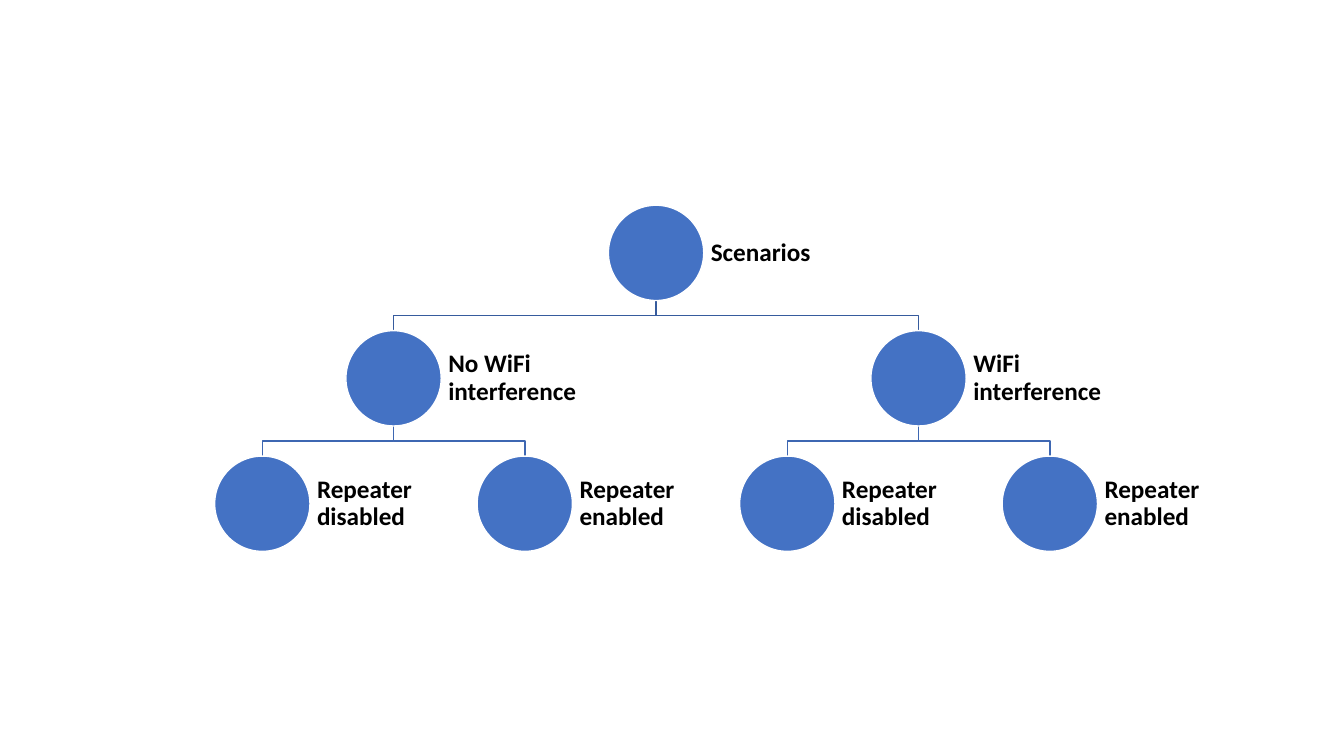
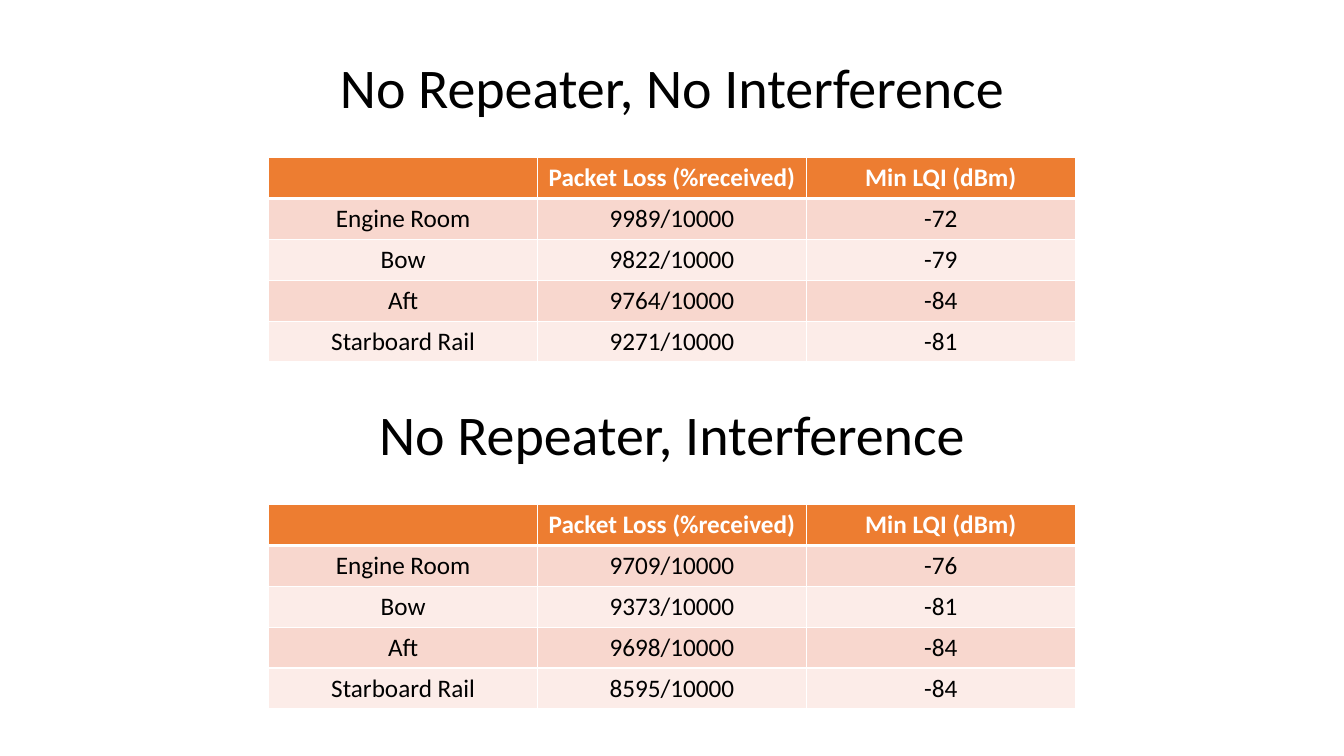
from lxml.etree import SubElement
from pptx import Presentation
from pptx.dml.color import RGBColor
from pptx.enum.shapes import MSO_SHAPE
from pptx.enum.text import MSO_ANCHOR, MSO_AUTO_SIZE, PP_ALIGN
from pptx.oxml.ns import qn
from pptx.util import Pt

FONT = "Calibri"
BLACK, WHITE = "000000", "FFFFFF"
BLUE, ORANGE = "4472C4", "ED7D31"
LINE_COLORS = {1: "365B9D", 2: "3E67B2"}
BANDS = ["F8D7CE", "FCECE8"]

# name: (label, level, leaf column, parent)
SCENARIOS = {
    "root": ("Scenarios", 0, 1.5, None),
    "quiet": ("No WiFi interference", 1, 0.5, "root"),
    "noisy": ("WiFi interference", 1, 2.5, "root"),
    "quiet_off": ("Repeater disabled", 2, 0, "quiet"),
    "quiet_on": ("Repeater enabled", 2, 1, "quiet"),
    "noisy_off": ("Repeater disabled", 2, 2, "noisy"),
    "noisy_on": ("Repeater enabled", 2, 3, "noisy"),
}
HEADER = ["", "Packet Loss (%received)", "Min LQI (dBm)"]
RESULTS = [
    ("No Repeater, No Interference", [
        ["Engine Room", "9989/10000", "-72"],
        ["Bow", "9822/10000", "-79"],
        ["Aft", "9764/10000", "-84"],
        ["Starboard Rail", "9271/10000", "-81"],
    ]),
    ("No Repeater, Interference", [
        ["Engine Room", "9709/10000", "-76"],
        ["Bow", "9373/10000", "-81"],
        ["Aft", "9698/10000", "-84"],
        ["Starboard Rail", "8595/10000", "-84"],
    ]),
]

CIRCLE, LABEL_W = 68.1, 102.2
TREE_X, TREE_Y = 187.4, 146.6
COLUMN_GAP, LEVEL_GAP = 187.5, 89.6
TABLE_X, TABLE_W, ROW_H = 192, 576, 29.2
BLOCK_Y, BLOCK_GAP = 33.8, 247.8
HEADING_H, TABLE_OFFSET = 55.4, 78.8


def rgb(color):
    return RGBColor.from_string(color)


def write(tf, text, size=18, color=BLACK, bold=False, align=PP_ALIGN.LEFT,
          anchor=MSO_ANCHOR.TOP, spacing=1.0):
    tf.word_wrap = True
    tf.vertical_anchor = anchor
    p = tf.paragraphs[0]
    p.alignment, p.line_spacing = align, spacing
    r = p.add_run()
    r.text = text
    r.font.name, r.font.size, r.font.bold = FONT, Pt(size), bold
    r.font.color.rgb = rgb(color)


def outline(sp, color):
    sp.shadow.inherit = False
    sp.line.color.rgb = rgb(color)
    sp.line.width = Pt(1)


def node_position(name):
    _, level, column, _ = SCENARIOS[name]
    return TREE_X + column * COLUMN_GAP, TREE_Y + level * LEVEL_GAP


def add_branch(slide, name):
    _, level, _, parent = SCENARIOS[name]
    x, bottom = node_position(name)
    parent_x, parent_y = node_position(parent)
    top = parent_y + CIRCLE
    middle = (top + bottom) / 2
    builder = slide.shapes.build_freeform(Pt(parent_x), Pt(top))
    points = [(parent_x, middle), (x, middle), (x, bottom)]
    builder.add_line_segments([(Pt(a), Pt(b)) for a, b in points], close=False)
    sp = builder.convert_to_shape()
    sp.fill.background()
    outline(sp, LINE_COLORS[level])


def add_node(slide, name):
    x, y = node_position(name)
    sp = slide.shapes.add_shape(MSO_SHAPE.OVAL, Pt(x - CIRCLE / 2), Pt(y),
                                Pt(CIRCLE), Pt(CIRCLE))
    sp.fill.solid()
    sp.fill.fore_color.rgb = rgb(BLUE)
    outline(sp, WHITE)
    tf = slide.shapes.add_textbox(Pt(x + CIRCLE / 2), Pt(y), Pt(LABEL_W),
                                  Pt(CIRCLE)).text_frame
    tf.margin_left = tf.margin_right = tf.margin_top = tf.margin_bottom = Pt(5)
    write(tf, SCENARIOS[name][0], bold=True, anchor=MSO_ANCHOR.MIDDLE, spacing=0.9)


def set_borders(cell, **widths):
    tc_pr = cell._tc.get_or_add_tcPr()
    for side in "LRTB":
        ln = SubElement(tc_pr, qn(f"a:ln{side}"), w=str(Pt(widths.get(side, 1))))
        SubElement(SubElement(ln, qn("a:solidFill")), qn("a:srgbClr"), val=WHITE)


def add_results(slide, top, rows):
    table = slide.shapes.add_table(len(rows), len(HEADER), Pt(TABLE_X), Pt(top),
                                   Pt(TABLE_W), Pt(ROW_H * len(rows))).table
    for i, row in enumerate(rows):
        table.rows[i].height = Pt(ROW_H)
        for j, text in enumerate(row):
            cell = table.cell(i, j)
            set_borders(cell, T=3 if i == 1 else 1, B=3 if i == 0 else 1)
            cell.fill.solid()
            cell.fill.fore_color.rgb = rgb(BANDS[(i - 1) % 2] if i else ORANGE)
            if text:
                write(cell.text_frame, text, color=BLACK if i else WHITE,
                      bold=i == 0, align=PP_ALIGN.CENTER)


def add_heading(sp, top, text):
    sp.left, sp.top, sp.width, sp.height = Pt(TABLE_X), Pt(top), Pt(TABLE_W), Pt(HEADING_H)
    sp.text_frame.auto_size = MSO_AUTO_SIZE.NONE
    write(sp.text_frame, text, size=40, align=PP_ALIGN.CENTER)


def build_scenarios(prs):
    slide = prs.slides.add_slide(prs.slide_layouts[6])
    for name, (_, _, _, parent) in SCENARIOS.items():
        if parent:
            add_branch(slide, name)
    for name in SCENARIOS:
        add_node(slide, name)


def build_results(prs):
    slide = prs.slides.add_slide(prs.slide_layouts[5])
    for i, (heading, rows) in enumerate(RESULTS):
        top = BLOCK_Y + i * BLOCK_GAP
        sp = slide.shapes.add_textbox(0, 0, 0, 0) if i else slide.shapes.title
        add_heading(sp, top, heading)
        add_results(slide, top + TABLE_OFFSET, [HEADER] + rows)


def main():
    prs = Presentation()
    prs.slide_width, prs.slide_height = Pt(960), Pt(540)
    build_scenarios(prs)
    build_results(prs)
    prs.save("out.pptx")


if __name__ == "__main__":
    main()
